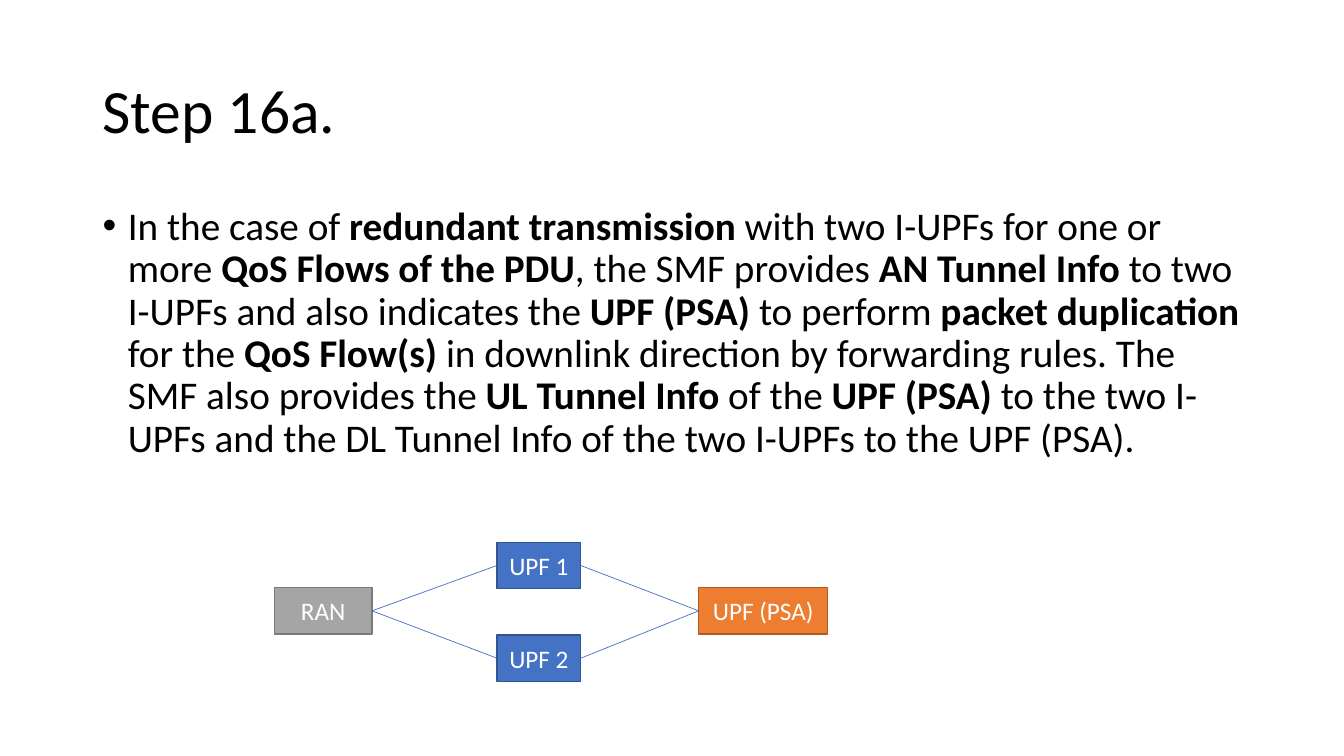
import pptx
import pptx.dml.color
import pptx.enum.shapes
import pptx.enum.text
import pptx.oxml
import pptx.oxml.ns
import pptx.util
import lxml.etree

Inches = pptx.util.Inches
Pt = pptx.util.Pt
TOP, LEFT, BOTTOM, RIGHT = range(4)


class Deck:
    font = "Calibri"
    hues = {
        "ink": "000000", "white": "FFFFFF",
        "blue": "4472C4", "navy": "325491",
        "orange": "ED7D31", "rust": "AF5C24",
        "gray": "A5A5A5", "slate": "7A7A7A",
    }

    def __init__(self, wide, high):
        self.file = pptx.Presentation()
        self.file.slide_width = Inches(wide)
        self.file.slide_height = Inches(high)
        self.slide = self.file.slides.add_slide(self.file.slide_layouts[6])

    def hue(self, name):
        return pptx.dml.color.RGBColor.from_string(self.hues[name])

    def style(self, para, size, hue):
        para.font.name = self.font
        para.font.size = Pt(size)
        para.font.color.rgb = self.hue(hue)

    def bullet(self, para):
        props = para._p.get_or_add_pPr()
        props.set("marL", str(Inches(0.25)))
        props.set("indent", str(Inches(-0.25)))
        tag = pptx.oxml.ns.qn
        lxml.etree.SubElement(props, tag("a:buFont"), typeface="Arial")
        lxml.etree.SubElement(props, tag("a:buChar"), char="•")

    def text(self, place, parts, size, middle=False, bullet=False):
        frame = self.slide.shapes.add_textbox(*map(Inches, place)).text_frame
        frame.word_wrap = True
        anchor = pptx.enum.text.MSO_ANCHOR
        frame.vertical_anchor = anchor.MIDDLE if middle else anchor.TOP
        para = frame.paragraphs[0]
        para.line_spacing = 0.9
        if bullet:
            self.bullet(para)
        self.style(para, size, "ink")
        for words, bold in parts:
            run = para.add_run()
            run.text = words
            if bold:
                run.font.bold = True

    def box(self, label, left, top, width, fill, edge):
        kind = pptx.enum.shapes.MSO_SHAPE.RECTANGLE
        shape = self.slide.shapes.add_shape(
            kind, *map(Inches, (left, top, width, 0.46)))
        shape.shadow.inherit = False
        shape.fill.solid()
        shape.fill.fore_color.rgb = self.hue(fill)
        shape.line.color.rgb = self.hue(edge)
        shape.line.width = Pt(1)
        frame = shape.text_frame
        frame.word_wrap = True
        frame.vertical_anchor = pptx.enum.text.MSO_ANCHOR.MIDDLE
        para = frame.paragraphs[0]
        para.text = label
        para.alignment = pptx.enum.text.PP_ALIGN.CENTER
        self.style(para, 18, "white")
        return shape

    def link(self, start, end):
        kind = pptx.enum.shapes.MSO_CONNECTOR.STRAIGHT
        line = self.slide.shapes.add_connector(kind, 0, 0, 0, 0)
        line.begin_connect(start, RIGHT)
        line.end_connect(end, LEFT)
        line.line.color.rgb = self.hue("blue")
        line.line.width = Pt(0.5)
        props = line._element.spPr
        lxml.etree.SubElement(props, pptx.oxml.ns.qn("a:effectLst"))


def main():
    deck = Deck(13.33, 7.5)
    deck.text((0.92, 0.4, 11.5, 1.45), [("Step 16a.", False)], 44, middle=True)
    deck.text((0.92, 2, 11.5, 2.8), [
        ("In the case of ", False),
        ("redundant transmission ", True),
        ("with two I-UPFs for one or more ", False),
        ("QoS Flows of the PDU", True),
        (", the SMF provides ", False),
        ("AN Tunnel Info ", True),
        ("to two I-UPFs and also indicates the ", False),
        ("UPF (PSA) ", True),
        ("to perform ", False),
        ("packet duplication ", True),
        ("for the ", False),
        ("QoS Flow(s) ", True),
        ("in downlink direction by forwarding rules. "
         "The SMF also provides the ", False),
        ("UL Tunnel Info ", True),
        ("of the ", False),
        ("UPF (PSA) ", True),
        ("to the two I-UPFs and the DL Tunnel Info "
         "of the two I-UPFs to the UPF (PSA).", False),
    ], 28, bullet=True)

    paths = [deck.box(f"UPF {num}", 4.93, top, 0.83, "blue", "navy")
             for num, top in enumerate((5.38, 6.3), 1)]
    anchor = deck.box("UPF (PSA)", 6.93, 5.83, 1.28, "orange", "rust")
    ran = deck.box("RAN", 2.72, 5.83, 0.97, "gray", "slate")
    for node in paths:
        deck.link(ran, node)
    for node in paths:
        deck.link(node, anchor)

    deck.file.save("out.pptx")


if __name__ == "__main__":
    main()
